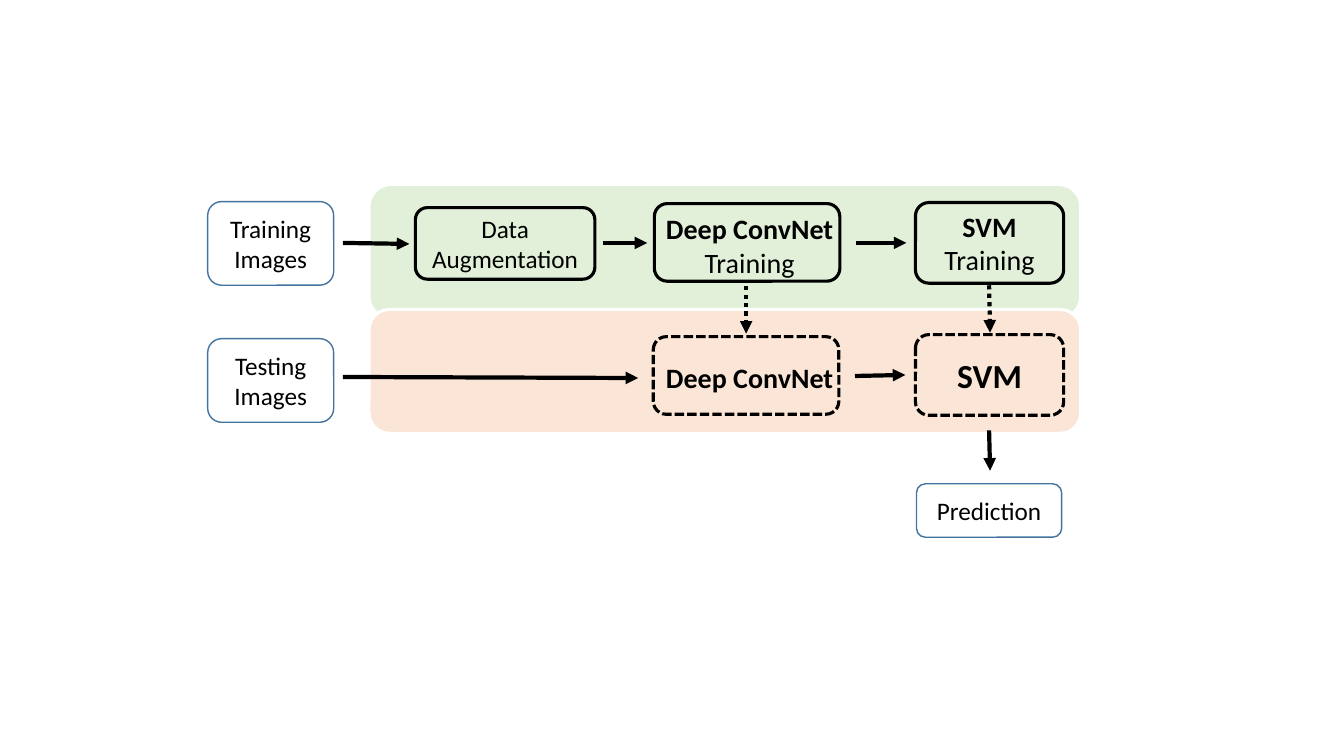
from dataclasses import dataclass

from lxml.etree import SubElement
from pptx import Presentation
from pptx.dml.color import RGBColor
from pptx.enum.dml import MSO_LINE as Dash
from pptx.enum.shapes import MSO_CONNECTOR as Connector, MSO_SHAPE as Preset
from pptx.enum.text import MSO_ANCHOR as Anchor, PP_ALIGN as Align
from pptx.oxml.ns import qn
from pptx.util import Inches, Pt


@dataclass(frozen=True)
class Theme:
    """Colours, type sizes and line widths of the slide."""
    font: str = "Calibri"
    ink: RGBColor = RGBColor(0, 0, 0)
    white: RGBColor = RGBColor(255, 255, 255)
    blue: RGBColor = RGBColor.from_string("43739E")
    green: RGBColor = RGBColor.from_string("E2F0D9")
    peach: RGBColor = RGBColor.from_string("FBE5D6")
    small: int = 18
    medium: int = 20
    large: int = 24
    thin: float = 1
    outline: float = 2.25
    arrow: float = 3


theme = Theme()
deck = Presentation()
deck.slide_width, deck.slide_height = Inches(13.33), Inches(7.5)
page = deck.slides.add_slide(deck.slide_layouts[6])


def add_box(area, fill=None, line=theme.ink, width=theme.outline, dash=None):
    """Add a rounded box, unfilled unless a colour is given."""
    box = page.shapes.add_shape(Preset.ROUNDED_RECTANGLE, *map(Inches, area))
    box.shadow.inherit = False
    if fill is None:
        box.fill.background()
    else:
        box.fill.solid()
        box.fill.fore_color.rgb = fill
    box.line.color.rgb = line
    box.line.width = Pt(width)
    if dash is not None:
        box.line.dash_style = dash
    return box


def write_lines(box, lines, size, anchor=Anchor.MIDDLE):
    """Write centred paragraphs from (text, bold) pairs."""
    frame = box.text_frame
    frame.word_wrap = True
    frame.vertical_anchor = anchor
    for index, (text, bold) in enumerate(lines):
        para = frame.add_paragraph() if index else frame.paragraphs[0]
        para.alignment = Align.CENTER
        span = para.add_run()
        span.text = text
        span.font.name = theme.font
        span.font.size = Pt(size)
        span.font.bold = bold
        span.font.color.rgb = theme.ink


# Training and testing bands
for top, height, colour in ((1.83, 1.33, theme.green), (3.07, 1.23, theme.peach)):
    add_box((3.66, top, 7.06, height), fill=colour, line=theme.white)

# Processing steps: solid while training, dashed once trained
steps = (
    ((4.12, 2.06, 1.78, 0.71), None, [("Data Augmentation", False)], theme.small),
    ((6.49, 2.02, 1.84, 0.77), None, [], theme.medium),
    ((9.08, 2.01, 1.47, 0.8), None, [("SVM", True), ("Training", False)], theme.medium),
    ((6.48, 3.34, 1.84, 0.77), Dash.SQUARE_DOT, [], theme.medium),
    ((9.08, 3.32, 1.47, 0.8), Dash.SQUARE_DOT, [("SVM", True)], theme.large),
)
for area, dash, lines, size in steps:
    box = add_box(area, dash=dash)
    if dash is not None:
        box.line._get_or_add_ln().find(qn("a:prstDash")).set("val", "sysDash")
    write_lines(box, lines, size)

# Inputs and output
ends = (
    ((2.06, 2, 1.25, 0.83), ["Training Images"]),
    ((2.06, 3.36, 1.25, 0.83), ["Testing", "Images"]),
    ((9.09, 4.8, 1.44, 0.53), ["Prediction"]),
)
for area, lines in ends:
    box = add_box(area, line=theme.blue, width=theme.thin)
    write_lines(box, [(text, False) for text in lines], theme.small)

# Network labels
labels = (
    ((6.46, 2.05, 1.95, 1.08), [("Deep ConvNet", True), ("Training", False)]),
    ((6.37, 3.53, 2.13, 0.74), [("Deep ConvNet", True)]),
)
for area, lines in labels:
    label = page.shapes.add_textbox(*map(Inches, area))
    write_lines(label, lines, theme.medium, Anchor.TOP)

# Arrows: dotted ones hand the trained models down
arrows = (
    (3.4, 2.41, 4.06, 2.42, False),
    (5.98, 2.41, 6.42, 2.41, False),
    (8.49, 2.41, 8.99, 2.41, False),
    (7.4, 2.84, 7.4, 3.31, True),
    (9.81, 2.83, 9.82, 3.3, True),
    (3.4, 3.74, 6.33, 3.75, False),
    (8.48, 3.73, 8.98, 3.72, False),
    (9.81, 4.27, 9.82, 4.67, False),
)
for *ends_at, dotted in arrows:
    arrow = page.shapes.add_connector(Connector.STRAIGHT, *map(Inches, ends_at))
    arrow.line.color.rgb = theme.ink
    arrow.line.width = Pt(theme.arrow)
    if dotted:
        arrow.line.dash_style = Dash.ROUND_DOT
    outline = arrow.line._get_or_add_ln()
    if dotted:
        outline.find(qn("a:prstDash")).set("val", "sysDot")
    SubElement(outline, qn("a:tailEnd"), type="triangle")
    SubElement(arrow._element.spPr, qn("a:effectLst"))

deck.save("out.pptx")
